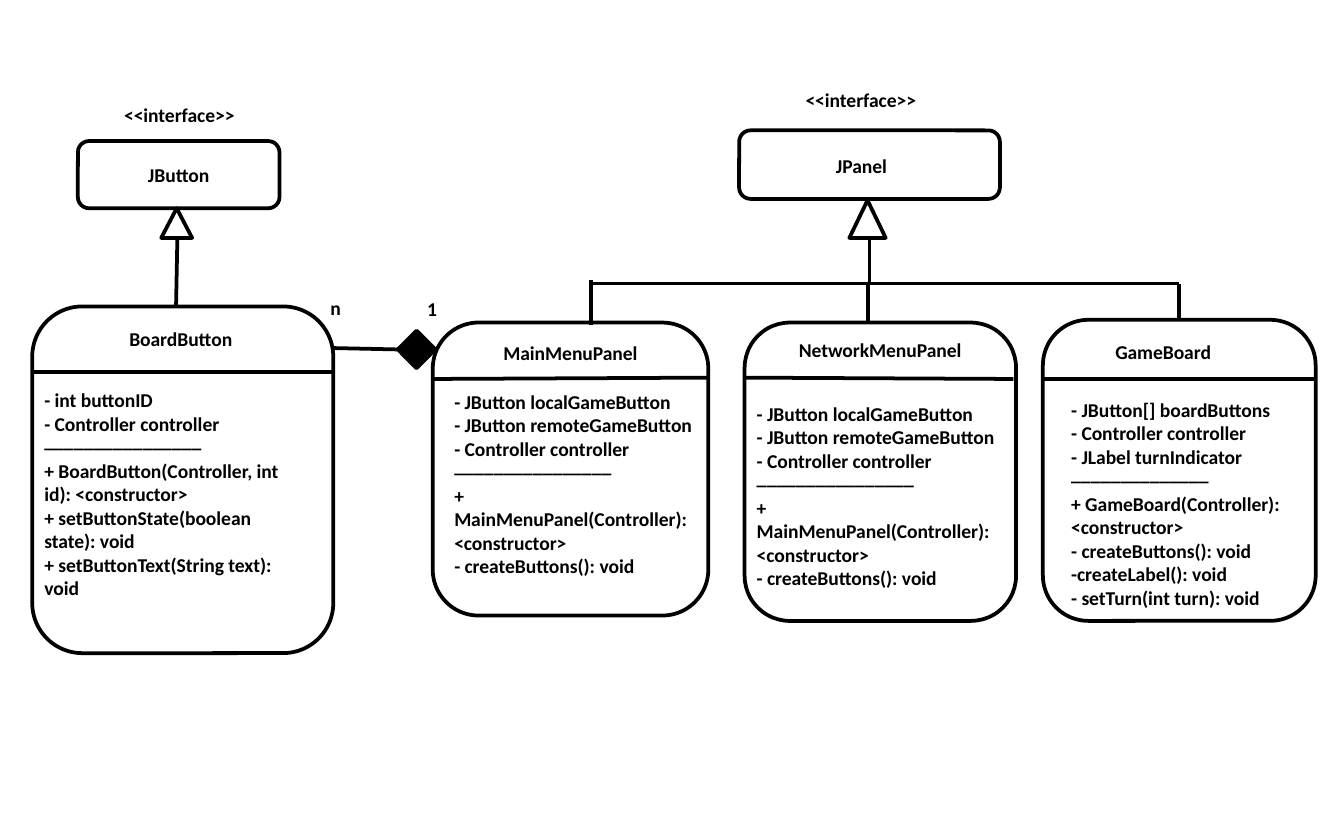
from lxml.etree import SubElement
from pptx import Presentation
from pptx.dml.color import RGBColor
from pptx.enum.shapes import MSO_CONNECTOR, MSO_SHAPE
from pptx.enum.text import MSO_ANCHOR, PP_ALIGN
from pptx.oxml.ns import qn
from pptx.util import Inches, Pt

BLACK = RGBColor(0, 0, 0)
WHITE = RGBColor(255, 255, 255)
FONT, SIZE, STROKE = "Calibri", Pt(10.5), Pt(2)

# Content: a number stands for a rule of that many dashes
MENU_MEMBERS = ["- JButton localGameButton", "- JButton remoteGameButton",
                "- Controller controller", 16,
                "+ MainMenuPanel(Controller): \t<constructor>",
                "- createButtons(): void"]

# name, box, name area, member area, divider ends (x1, y1, x2, y2), members
CLASSES = [
    ("MainMenuPanel", (3.22, 2.4, 2.05, 2.18), (3.34, 2.37, 1.81, 0.51),
     (3.29, 2.85, 2, 1.91), (3.22, 2.82, 5.27, 2.81), MENU_MEMBERS),
    ("NetworkMenuPanel", (5.54, 2.4, 2.02, 2.22), (5.53, 2.33, 2.04, 0.55),
     (5.54, 2.94, 1.99, 1.61), (5.55, 2.81, 7.54, 2.82), MENU_MEMBERS),
    ("GameBoard", (7.76, 2.38, 2.03, 2.24), (7.82, 2.37, 1.67, 0.5),
     (7.88, 2.91, 2.12, 2.06), (7.76, 2.82, 9.8, 2.82),
     ["- JButton[] boardButtons", "- Controller controller",
      "- JLabel turnIndicator", 14,
      "+ GameBoard(Controller): \t<constructor>",
      "- createButtons(): void\n-createLabel(): void\n- setTurn(int turn): void"]),
    ("BoardButton", (0.24, 2.28, 2.24, 2.58), (0.55, 2.33, 1.59, 0.38),
     (0.24, 2.84, 2.33, 2.11), (0.24, 2.77, 2.49, 2.77),
     ["- int buttonID", "- Controller controller", 16,
      "+ BoardButton(Controller, int \tid): <constructor>",
      "+ setButtonState(boolean \tstate): void",
      "+ setButtonText(String text): \tvoid"]),
]

# name, box, name area, stereotype area, inheritance triangle
INTERFACES = [
    ("JPanel", (5.5, 0.97, 1.94, 0.51), (5.91, 0.99, 1, 0.48),
     (5.5, 0.48, 1.81, 0.53), (6.32, 1.49, 0.27, 0.28)),
    ("JButton", (0.58, 1.05, 1.5, 0.5), (0.66, 1.11, 1.34, 0.38),
     (0.55, 0.65, 1.57, 0.41), (1.2, 1.55, 0.23, 0.22)),
]

BUS_Y = 2.11
LINKS = [
    (6.47, 1.76, 6.47, 2.12),       # JPanel to bus
    (4.4, BUS_Y, 8.77, BUS_Y),      # bus
    (4.4, 2.08, 4.4, 2.42),         # bus to the three panels
    (6.46, BUS_Y, 6.46, 2.41),
    (8.77, BUS_Y, 8.77, 2.37),
    (1.32, 1.77, 1.31, 2.28),       # JButton to BoardButton
    (2.48, 2.59, 2.96, 2.6),        # BoardButton to diamond
]
MULTIPLICITIES = [("1", (3.08, 2.16, 0.27, 0.28)), ("n", (2.36, 2.15, 0.26, 0.28))]

prs = Presentation()
prs.slide_width, prs.slide_height = Inches(10), Inches(6.25)
s = prs.slides.add_slide(prs.slide_layouts[6])


def add_box(kind, area, fill=None):
    sp = s.shapes.add_shape(kind, *map(Inches, area))
    sp.shadow.inherit = False
    if fill is None:
        sp.fill.background()
    else:
        sp.fill.solid()
        sp.fill.fore_color.rgb = fill
    sp.line.color.rgb = BLACK
    sp.line.width = STROKE


def add_line(ends):
    c = s.shapes.add_connector(MSO_CONNECTOR.STRAIGHT, *map(Inches, ends))
    c.line.color.rgb = BLACK
    c.line.width = STROKE
    SubElement(c._element.spPr, qn("a:effectLst"))


def add_text(area, lines, centred=False, side=0.09):
    tf = s.shapes.add_textbox(*map(Inches, area)).text_frame
    tf.word_wrap = True
    tf.margin_left = tf.margin_right = Inches(side)
    tf.margin_top = tf.margin_bottom = Inches(0.05)
    tf.vertical_anchor = MSO_ANCHOR.MIDDLE if centred else MSO_ANCHOR.TOP
    for i, line in enumerate(lines):
        p = tf.add_paragraph() if i else tf.paragraphs[0]
        p.alignment = PP_ALIGN.CENTER if centred else PP_ALIGN.LEFT
        text = "\u23af" * line if isinstance(line, int) else line
        for j, part in enumerate(text.split("\n")):
            if j:
                p.add_line_break()
            r = p.add_run()
            r.text = part
            r.font.name, r.font.size, r.font.bold = FONT, SIZE, True
            r.font.color.rgb = BLACK


# Interfaces
for name, box, name_area, stereotype_area, triangle in INTERFACES:
    add_box(MSO_SHAPE.ROUNDED_RECTANGLE, box, WHITE)
    add_text(name_area, [name], centred=True)
    add_text(stereotype_area, ["<<interface>>"], centred=True)
    add_box(MSO_SHAPE.ISOSCELES_TRIANGLE, triangle)

# Classes
for name, box, name_area, member_area, divider, members in CLASSES:
    add_box(MSO_SHAPE.ROUNDED_RECTANGLE, box, WHITE)
    add_line(divider)
    add_text(name_area, [name], centred=True)
    add_text(member_area, members)

# Relations
for ends in LINKS:
    add_line(ends)
add_box(MSO_SHAPE.DIAMOND, (2.96, 2.46, 0.28, 0.28), BLACK)
for label, area in MULTIPLICITIES:
    add_text(area, [label], side=0.1)

prs.save("out.pptx")
